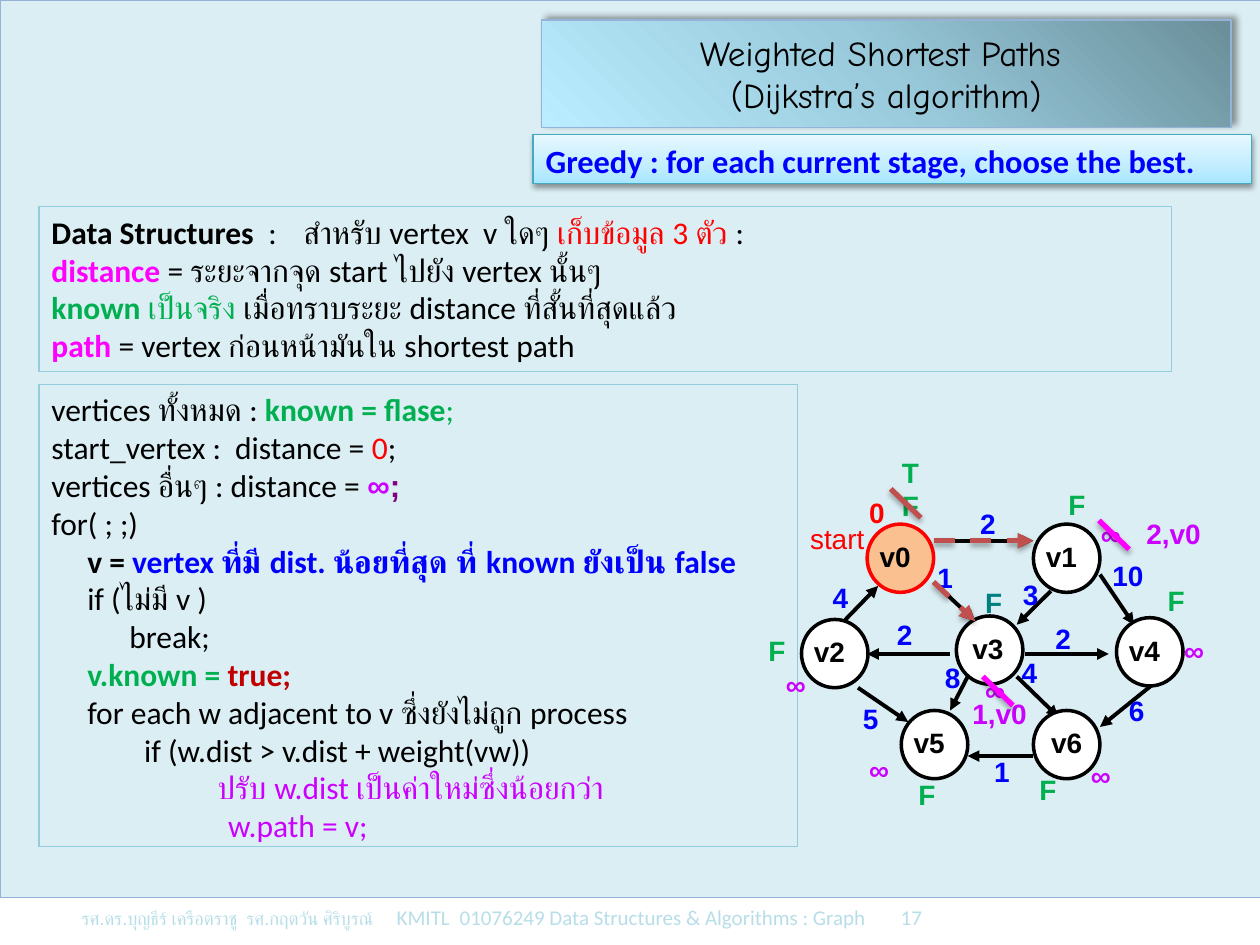
from pptx import Presentation
from pptx.dml.color import RGBColor
from pptx.enum import dml, shapes, text
from pptx.oxml import parse_xml
from pptx.oxml.ns import nsdecls, qn
from pptx.util import Pt

C = dict(black="000000", white="FFFFFF", blue="0000FF", red="FF0000", green="00B050",
         magenta="FF00FF", violet="CC00FF", purple="800080", crimson="C00000",
         teal="008080", brick="C0504D", peach="FAC090", page="DBEEF4", edge="95B3D7",
         frame="93CDDD", footer="B7DEE8", aqua="46AAC5")
TITLE_STOPS = [(0, "6A8E9A"), (50, "98CADB"), (100, "B9EDFF")]
BODY_STOPS = [(0, "A7E6FF"), (35, "C1EDFF"), (100, "E7F8FF")]


def rgb(name):
    return RGBColor.from_string(C[name])


def child(parent, tag, **attrs):
    e = parent.makeelement(qn(tag), {k: str(v) for k, v in attrs.items()})
    parent.append(e)
    return e


def add_run(p, txt, size=18, color="black", bold=False, font="Calibri"):
    if txt == "\v":
        p.add_line_break()
        return
    r = p.add_run()
    r.text = txt
    f = r.font
    f.size, f.bold, f.name = Pt(size), bold, font
    f.color.rgb = rgb(color)


def write(p, runs, indent=0, tabs=(), align=text.PP_ALIGN.LEFT, **fmt):
    """Fill a paragraph; each run is (text, its own format), fmt is the common one."""
    p.alignment = align
    pPr = p._p.get_or_add_pPr()
    pPr.set("marL", str(Pt(indent)))
    pPr.set("indent", "0")
    child(pPr, "a:buNone")
    if tabs:
        lst = child(pPr, "a:tabLst")
        for pos, algn in tabs:
            child(lst, "a:tab", pos=Pt(pos), algn=algn)
    for txt, own in runs:
        add_run(p, txt, **{**fmt, **own})


def place(s, x, y, w, h):
    s.left, s.top, s.width, s.height = Pt(x), Pt(y), Pt(w), Pt(h)


def add_shadow(effects, alpha, blur, dist, angle):
    sh = child(effects, "a:outerShdw", blurRad=Pt(blur), dist=Pt(dist),
               dir=angle * 60000, rotWithShape=0)
    child(child(sh, "a:srgbClr", val=C["black"]), "a:alpha", val=alpha * 1000)


def style(s, fill=None, line="black", width=0.75):
    s.shadow.inherit = False
    if fill:
        s.fill.solid()
        s.fill.fore_color.rgb = rgb(fill)
    else:
        s.fill.background()
    s.line.color.rgb = rgb(line)
    s.line.width = Pt(width)


def banner(s, box, stops, angle, line, shadow, runs, **fmt):
    """Turn a placeholder into a gradient panel with a shadow."""
    place(s, *box)
    style(s, "white", line)
    add_shadow(s._element.spPr.find(qn("a:effectLst")), *shadow)
    gs = "".join(f'<a:gs pos="{pos * 1000}"><a:srgbClr val="{c}"/></a:gs>' for pos, c in stops)
    solid = s._element.spPr.find(qn("a:solidFill"))
    s._element.spPr.replace(solid, parse_xml(
        f'<a:gradFill {nsdecls("a")} rotWithShape="1"><a:gsLst>{gs}</a:gsLst>'
        f'<a:lin ang="{angle * 60000}" scaled="0"/></a:gradFill>'))
    s.text_frame.auto_size = text.MSO_AUTO_SIZE.NONE
    write(s.text_frame.paragraphs[0], runs, **fmt)


def panel(sp, box, paragraphs):
    """Framed text; each paragraph is (runs, its format)."""
    s = sp.add_shape(shapes.MSO_SHAPE.RECTANGLE, *map(Pt, box))
    style(s, line="frame")
    tf = s.text_frame
    tf.word_wrap, tf.vertical_anchor = True, text.MSO_ANCHOR.TOP
    for i, (runs, fmt) in enumerate(paragraphs):
        write(tf.add_paragraph() if i else tf.paragraphs[0], runs, **fmt)


def text_box(sp, box, runs, **fmt):
    tf = sp.add_textbox(*map(Pt, box)).text_frame
    tf.word_wrap = True
    write(tf.paragraphs[0], runs, **fmt)


def background(sp, w, h):
    s = sp.add_shape(shapes.MSO_SHAPE.RECTANGLE, 0, 0, Pt(w), Pt(h))
    style(s, "page", "edge", 0.25)


def footer(sp, box):
    text_box(sp, box, [("รศ.ดร.บุญธีร์ เครือตราชู  รศ.กฤตวัน ศิริบูรณ์", dict(size=10.5, font="Arial")),
                       ("\tKMITL\t01076249 Data Structures & Algorithms : Graph", {}),
                       ("\t17", {})],
             tabs=[(208, "l"), (252, "l"), (615, "r")], size=12, color="footer")


def data_structures(sp, box):
    b = dict(bold=True)
    panel(sp, box, [
        ([("Data Structures  ", b), (":\tสำหรับ vertex  v ใดๆ ", {}),
          ("เก็บข้อมูล 3 ตัว ", dict(color="red")), (":", {})], dict(tabs=[(150, "l")])),
        ([("distance ", dict(b, color="magenta")), ("= ระยะจากจุด start ไปยัง vertex นั้นๆ", {})], {}),
        ([("known ", dict(b, color="green")), ("เป็นจริง ", dict(color="green")),
          ("เมื่อทราบระยะ distance ที่สั้นที่สุดแล้ว", {})], {}),
        ([("path ", dict(b, color="magenta")), ("= vertex ก่อนหน้ามันใน shortest path", {})], {})])


def pseudocode(sp, box):
    b, step = dict(bold=True), dict(indent=20.5)
    panel(sp, box, [
        ([("vertices ทั้งหมด : ", {}), ("known = flase", dict(b, color="green")),
          (";", dict(color="green"))], {}),
        ([("start_vertex :  distance = ", {}), ("0", dict(color="red")), (";", {})], {}),
        ([("vertices อื่นๆ : distance = ", {}), ("∞", dict(b, color="violet", font="Arial")),
          (";", dict(b, color="purple", font="Arial"))], {}),
        ([("for( ; ;)", {})], {}),
        ([("v = ", b), ("vertex ที่มี dist. น้อยที่สุด ที่ known ยังเป็น false",
                        dict(b, color="blue"))], step),
        ([("if (ไม่มี v )", {})], step),
        ([("break;", {})], dict(indent=44.5)),
        ([("v.known = ", dict(b, color="green")), ("true;", dict(b, color="crimson"))], step),
        ([("for each w adjacent to v ซึ่งยังไม่ถูก process", {})], step),
        ([("if (w.dist > v.dist + weight(vw))", {})], dict(indent=53)),
        ([("ปรับ w.dist เป็นค่าใหม่ซึ่งน้อยกว่า", {})], dict(indent=95, color="violet")),
        ([("w.path = v;", {})], dict(indent=101, color="violet"))])


def graph(sp, x0, y0):
    """Weighted digraph with the known, distance and path marks of each vertex."""
    def label(txt, x, y, color="blue", bold=True):
        text_box(sp, (x0 + x, y0 + y, 29 + 9 * (len(txt) - 1), 24), [(txt, {})],
                 size=16, color=color, bold=bold, font="Arial")

    def line(x1, y1, x2, y2, color="black", width=2.25, arrow=True, dash=False, shadow=False):
        c = sp.add_connector(shapes.MSO_CONNECTOR.STRAIGHT,
                             Pt(x0 + x1), Pt(y0 + y1), Pt(x0 + x2), Pt(y0 + y2))
        c.line.color.rgb = rgb(color)
        c.line.width = Pt(width)
        if dash:
            c.line.dash_style = dml.MSO_LINE.DASH
        if arrow:
            child(c.line._get_or_add_ln(), "a:tailEnd", type="triangle")
        effects = child(c._element.spPr, "a:effectLst")
        if shadow:
            add_shadow(effects, 35, 3.1, 1.8, 90)

    visited = [(101.5, 76.6, 125.3, 99), (101.5, 53, 158.5, 53)]
    edges = visited + [
        (111, 117.7, 63.5, 117.7), (226, 135.7, 196.6, 159.4), (121, 130.6, 111, 150),
        (158.5, 176, 121, 176), (58.3, 137, 87, 156.6), (196.6, 72.3, 216, 101),
        (168.5, 81.7, 149, 101), (51, 98.2, 69.8, 78.8), (154, 117.7, 201.6, 117.7),
        (149, 130.6, 172.8, 153.7)]
    for e in edges:
        line(*e)

    vertices = [("v0", 63.5, 43.5, 0), ("v1", 158.5, 43.5, 0), ("v2", 26, 98, 0),
                ("v3", 114.5, 96, 2), ("v4", 206, 97, 0), ("v5", 83, 150, 0), ("v6", 158.5, 150, 3)]
    for name, x, y, dx in vertices:
        s = sp.add_shape(shapes.MSO_SHAPE.OVAL, Pt(x0 + x), Pt(y0 + y), Pt(38), Pt(39))
        style(s, *(("peach", "red") if name == "v0" else ("white", "black")), width=2)
        label(name, x + dx, y + 5.3, "black")

    marks = {
        "blue": [("5", 54, 141.4), ("1", 129, 171.7), ("2", 73.4, 93.2), ("4", 144.7, 114.8),
                 ("6", 206, 137), ("2", 164, 95.4), ("8", 100.8, 117.7), ("10", 196.6, 59.4),
                 ("1", 96.5, 60.8), ("3", 145.4, 70.2), ("2", 121, 29.8), ("4", 36.7, 72.3)],
        "teal": [("F", 123.8, 75.2)],
        "green": [("F", 76.3, 19.8), ("F", 171.4, 19), ("F", 228.2, 73.8), ("F", 154.8, 181.8),
                  ("F", 85.7, 184.6), ("F", 0, 102.6), ("T", 76.3, 1)],
        "violet": [("∞", 237.6, 102.6), ("∞", 190, 36.3), ("∞", 184.3, 173.8), ("∞", 57.6, 170.2),
                   ("∞", 10, 122), ("∞", 123.8, 125.6), ("2,v0", 216, 35.6), ("1,v0", 116.6, 138.6)],
        "red": [("0", 57.6, 23.4)]}
    for color, items in marks.items():
        for item in items:
            label(*item, color)
    label("start", 23.8, 38.5, "red", bold=False)

    for e in visited:
        line(*e, "brick", 3, dash=True, shadow=True)
    for x, y, color in [(77, 23.4, "brick"), (196, 41.4, "magenta"), (129.6, 130.6, "magenta")]:
        line(x, y, x + 17.2, y + 16.5, color, 3, arrow=False, shadow=True)


def main():
    prs = Presentation()
    prs.slide_width, prs.slide_height = Pt(720), Pt(540)
    slide = prs.slides.add_slide(prs.slide_layouts[1])
    sp = slide.shapes
    title, body = slide.placeholders
    background(sp, 720, 512.6)
    for s in (title, body):
        sp._spTree.append(s._element)
    footer(sp, (39.6, 513.4, 646.6, 26.6))
    banner(title, (309.6, 11.5, 393.8, 61.2), TITLE_STOPS, 135, "edge", (40, 4, 3, 315),
           [("Weighted Shortest Paths ", {}), ("\v", {}), ("(Dijkstra’s algorithm)", {})],
           size=20, font="Comic Neue", align=text.PP_ALIGN.CENTER)
    title.text_frame.vertical_anchor = text.MSO_ANCHOR.MIDDLE
    banner(body, (304.6, 77, 410.4, 28), BODY_STOPS, 270, "aqua", (38, 3.1, 1.6, 90),
           [("Greedy : for each current stage, choose the best.", {})],
           size=18.5, color="blue", bold=True)
    data_structures(sp, (22.3, 118, 647.3, 94.3))
    pseudocode(sp, (22.3, 219.6, 433.4, 264.2))
    graph(sp, 432, 256)
    prs.save("out.pptx")


if __name__ == "__main__":
    main()
